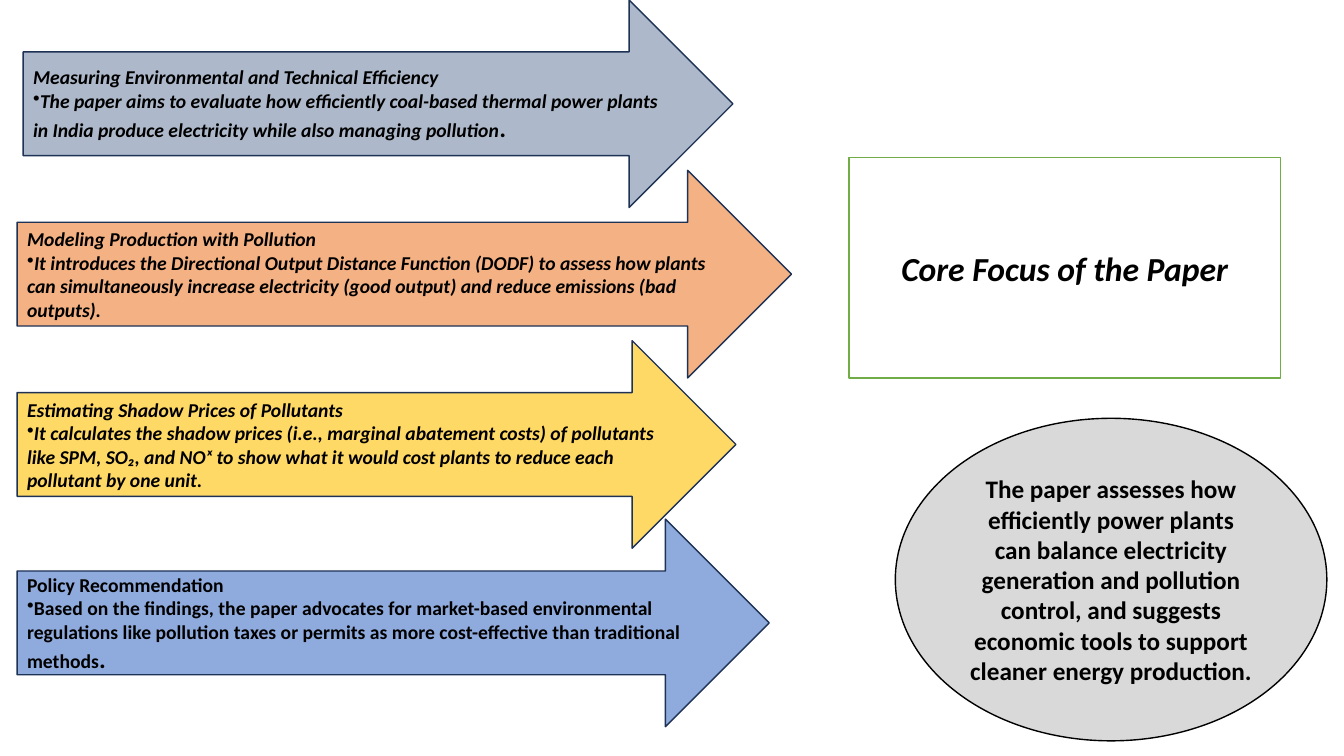
from lxml import etree
from pptx import Presentation
from pptx.dml.color import RGBColor
from pptx.enum.shapes import MSO_SHAPE
from pptx.enum.text import MSO_ANCHOR, MSO_AUTO_SIZE, PP_ALIGN
from pptx.oxml.ns import qn
from pptx.util import Inches, Pt

ARROW, ELLIPSE = MSO_SHAPE.RIGHT_ARROW, MSO_SHAPE.OVAL
LEFT, CENTER = PP_ALIGN.LEFT, PP_ALIGN.CENTER
MIDDLE = MSO_ANCHOR.MIDDLE
TITLE_ONLY = 5
COLORS = {
    "blue_gray": "ADB9CA", "orange": "F4B183", "yellow": "FFD966",
    "blue": "8FAADC", "gray": "D9D9D9", "white": "FFFFFF",
    "navy": "1E3256", "green": "70AD47", "black": "000000",
}
ARROW_HEIGHT = 2.06


def style_shape(shape, fill, line):
    shape.fill.solid()
    shape.fill.fore_color.rgb = RGBColor.from_string(COLORS[fill])
    shape.line.color.rgb = RGBColor.from_string(COLORS[line])
    shape.line.width = Pt(1)
    shape.text_frame.word_wrap = True
    shape.text_frame.auto_size = MSO_AUTO_SIZE.NONE
    shape.text_frame.vertical_anchor = MIDDLE


def style_paragraph(paragraph, size, align, italic):
    paragraph.alignment = align
    paragraph.font.name = "Calibri"
    paragraph.font.size = Pt(size)
    paragraph.font.bold = True
    paragraph.font.italic = italic
    paragraph.font.color.rgb = RGBColor.from_string(COLORS["black"])


presentation = Presentation()
presentation.slide_width = Inches(13.33)
presentation.slide_height = Inches(7.5)
slide = presentation.slides.add_slide(presentation.slide_layouts[TITLE_ONLY])

# Title on a sheet with a folded corner
title = slide.shapes.title
title.left, title.top = Inches(8.42), Inches(1.56)
title.width, title.height = Inches(4.28), Inches(2.19)
geometry = etree.SubElement(title.element.spPr, qn("a:prstGeom"), prst="foldedCorner")
etree.SubElement(geometry, qn("a:avLst"))
style_shape(title, "white", "green")
title.text_frame.text = "Core Focus of the Paper"
style_paragraph(title.text_frame.paragraphs[0], 24, CENTER, True)

# Arrows: left, top, width, fill, italic, heading, point, large full stop
arrows = [
    (0.23, 0, 7.04, "blue_gray", True, "Measuring Environmental and Technical Efficiency",
     "The paper aims to evaluate how efficiently coal-based thermal power plants in India "
     "produce electricity while also managing pollution", "."),
    (0.17, 1.69, 7.68, "orange", True, "Modeling Production with Pollution",
     "It introduces the Directional Output Distance Function (DODF) to assess how plants can "
     "simultaneously increase electricity (good output) and reduce emissions (bad outputs).", ""),
    (0.17, 3.38, 7.13, "yellow", True, "Estimating Shadow Prices of Pollutants",
     "It calculates the shadow prices (i.e., marginal abatement costs) of pollutants like SPM, "
     "SO₂, and NOₓ to show what it would cost plants to reduce each pollutant by one unit.", ""),
    (0.17, 5.15, 7.46, "blue", False, "Policy Recommendation",
     "Based on the findings, the paper advocates for market-based environmental regulations "
     "like pollution taxes or permits as more cost-effective than traditional methods", "."),
]
for left, top, width, fill, italic, heading, point, full_stop in arrows:
    arrow = slide.shapes.add_shape(
        ARROW, Inches(left), Inches(top), Inches(width), Inches(ARROW_HEIGHT))
    arrow.shadow.inherit = False
    style_shape(arrow, fill, "navy")
    arrow.text_frame.text = f"{heading}\n{point}"
    for paragraph in arrow.text_frame.paragraphs:
        style_paragraph(paragraph, 14, LEFT, italic)
    bullet_paragraph = arrow.text_frame.paragraphs[1]
    bullet = etree.Element(qn("a:buChar"), char="•")
    bullet_paragraph._p.get_or_add_pPr().insert(0, bullet)
    if full_stop:
        run = bullet_paragraph.add_run()
        run.text = full_stop
        run.font.size = Pt(18)

# Summary ellipse
summary = slide.shapes.add_shape(
    ELLIPSE, Inches(8.88), Inches(4.15), Inches(4.28), Inches(3.2))
summary.shadow.inherit = False
style_shape(summary, "gray", "black")
summary.text_frame.text = (
    "The paper assesses how efficiently power plants can balance electricity generation and "
    "pollution control, and suggests economic tools to support cleaner energy production.")
style_paragraph(summary.text_frame.paragraphs[0], 18, CENTER, False)

presentation.save("out.pptx")
